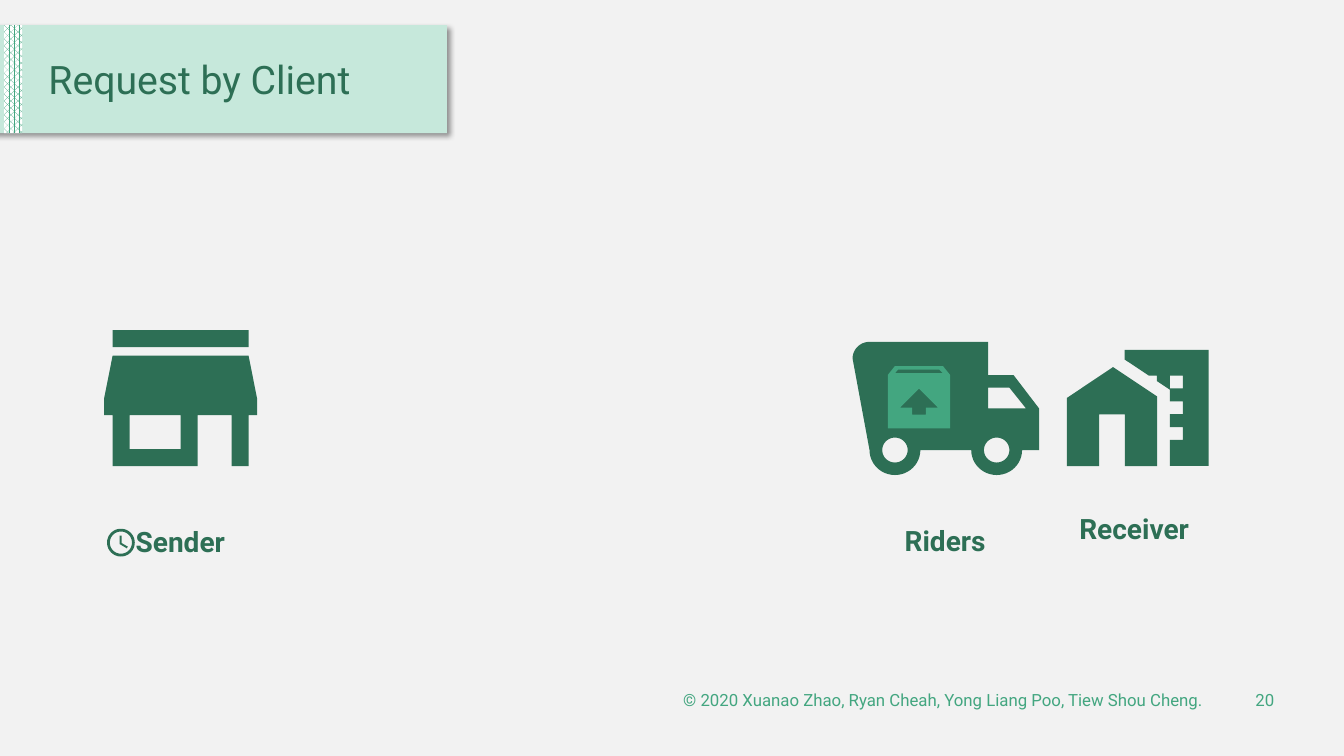
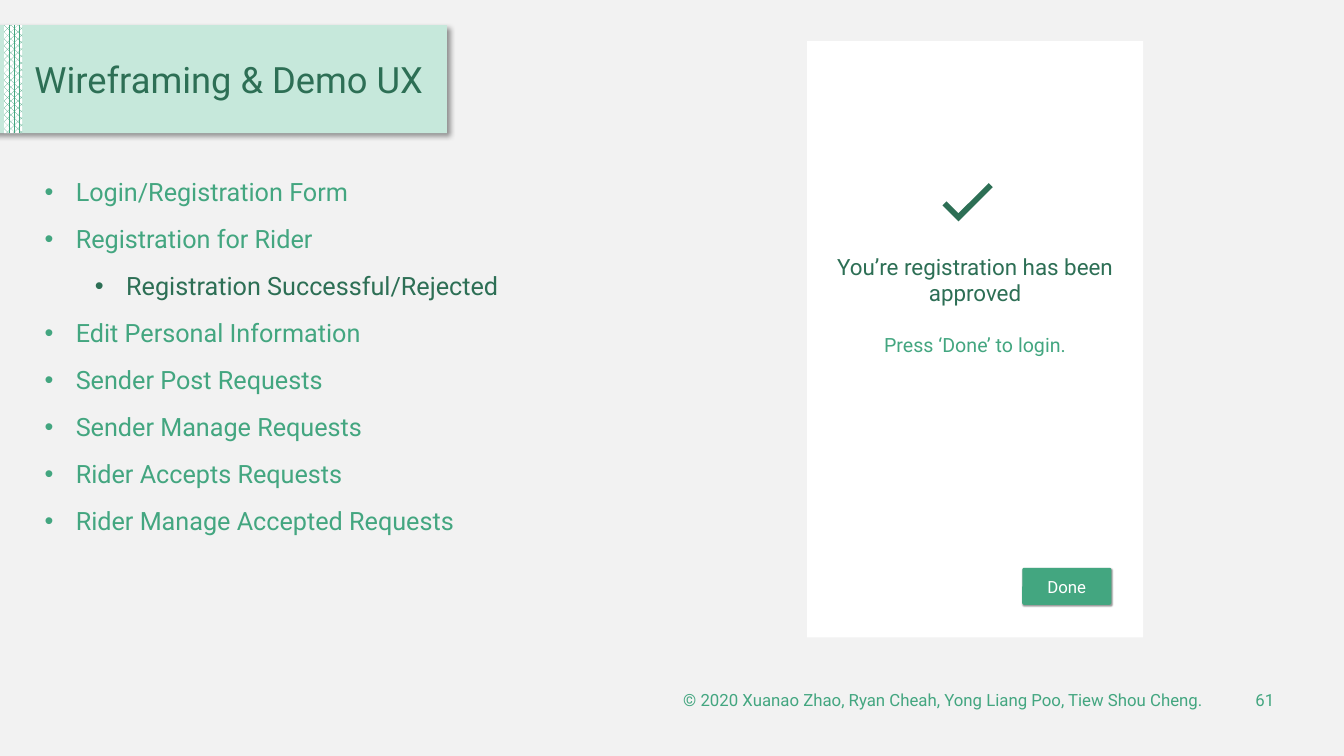
"""Build two slides of a delivery-service deck with a shared green style."""
from math import cos, radians, sin

from lxml import etree
from pptx import Presentation
from pptx.dml.color import RGBColor
from pptx.enum.dml import MSO_PATTERN
from pptx.enum.shapes import MSO_SHAPE
from pptx.enum.text import MSO_ANCHOR, MSO_AUTO_SIZE, PP_ALIGN
from pptx.oxml.ns import qn
from pptx.util import Inches, Pt

RECT, ROUNDED = MSO_SHAPE.RECTANGLE, MSO_SHAPE.ROUNDED_RECTANGLE
LEFT, CENTER, RIGHT = PP_ALIGN.LEFT, PP_ALIGN.CENTER, PP_ALIGN.RIGHT
TOP, MIDDLE = MSO_ANCHOR.TOP, MSO_ANCHOR.MIDDLE
NO_FIT = MSO_AUTO_SIZE.NONE
WEAVE = MSO_PATTERN.PERCENT_70

COLUMNS, ROWS = 160, 90
FONT = "Roboto"
DARK, GREEN, MINT = "2D6F55", "43A680", "C6E8DB"
WHITE, PAPER, BLACK = "FFFFFF", "F2F2F2", "000000"
COPYRIGHT = "© 2020 Xuanao Zhao, Ryan Cheah, Yong Liang Poo, Tiew Shou Cheng."
TITLE_ONLY, TITLE_AND_BODY = 5, 1


def color(value):
    return RGBColor.from_string(value)


def arc(x, y, radius, start, end, steps=24):
    angles = [radians(start + (end - start) * i / steps) for i in range(steps + 1)]
    return [(x + radius * cos(a), y + radius * sin(a)) for a in angles]


def ring(x, y, radius):
    return arc(x, y, radius, 0, 360, 48)


STORE = [
    [(4, 4), (20, 4), (20, 6), (4, 6)],
    [(21, 14), (21, 12), (20, 7), (4, 7), (3, 12), (3, 14), (4, 14), (4, 20),
     (14, 20), (14, 14), (18, 14), (18, 20), (20, 20), (20, 14)],
    [(12, 18), (6, 18), (6, 14), (12, 14)],
]
TRUCK = [
    [(20, 8), (17, 8), (17, 4), *arc(3, 6, 2, 270, 180), *arc(6, 17, 3, 180, 0),
     *arc(18, 17, 3, 180, 0), (23, 17), (23, 12)],
    ring(6, 17, 1.5),
    ring(18, 17, 1.5),
    [(19.5, 9.5), (21.46, 12), (17, 12), (17, 9.5)],
]
HOUSE = [
    [(8.17, 5.7), (1, 10.48), (1, 21), (6, 21), (6, 13), (10, 13), (10, 21),
     (15, 21), (15, 10.25)],
]
TOWER = [
    [(10, 3), (10, 4.51), (12, 5.84), (13.73, 7), (15, 7), (15, 7.85), (17, 9.19),
     (17, 11), (19, 11), (19, 13), (17, 13), (17, 15), (19, 15), (19, 17), (17, 17),
     (17, 21), (23, 21), (23, 3)],
    [(19, 9), (17, 9), (17, 7), (19, 7)],
]
PARCEL = [
    [(19, 3), (5, 3), (3, 5.5), (3, 21), (21, 21), (21, 5.5)],
    [(14, 15), (14, 17), (10, 17), (10, 15), (6.5, 15), (12, 9.5), (17.5, 15)],
    [(5.12, 5), (5.93, 4), (17.93, 4), (18.87, 5)],
]
CLOCK = [
    ring(12, 12, 10),
    ring(12, 12, 8),
    [(12.5, 7), (11, 7), (11, 13), (16.25, 16.15), (17, 14.92), (12.5, 12.25)],
]
CHECK = [
    [(9, 16.17), (4.83, 12), (3.41, 13.41), (9, 19), (21, 7), (19.59, 5.59)],
]


class Deck:
    def __init__(self):
        self.show = Presentation()
        self.show.slide_width, self.show.slide_height = Inches(13.33), Inches(7.5)
        backdrop = self.show.slide_master.background.fill
        backdrop.solid()
        backdrop.fore_color.rgb = color(PAPER)
        self.slide = None

    def grid(self, left, top, width, height):
        column, row = self.show.slide_width / COLUMNS, self.show.slide_height / ROWS
        return [round(n) for n in
                (left * column, top * row, width * column, height * row)]

    def place(self, item, cells):
        item.left, item.top, item.width, item.height = self.grid(*cells)

    def paint(self, shape, fill):
        shape.shadow.inherit = False
        shape.line.fill.background()
        shape.fill.solid()
        shape.fill.fore_color.rgb = color(fill)

    def block(self, cells, fill, kind=RECT):
        shape = self.slide.shapes.add_shape(kind, *self.grid(*cells))
        self.paint(shape, fill)
        return shape

    def cast_shadow(self, shape, blur, distance):
        effects = shape.element.spPr.find(qn("a:effectLst"))
        shadow = etree.SubElement(
            effects, qn("a:outerShdw"), blurRad=str(Pt(blur)),
            dist=str(Pt(distance)), dir=str(45 * 60000), algn="tl", rotWithShape="0")
        tint = etree.SubElement(shadow, qn("a:srgbClr"), val=BLACK)
        etree.SubElement(tint, qn("a:alpha"), val="40000")

    def style(self, paragraph, size, ink, align=LEFT, bold=False):
        paragraph.alignment = align
        font = paragraph.font
        font.name, font.size, font.bold = FONT, Pt(size), bold
        font.color.rgb = color(ink)

    def fill_text(self, frame, text, size, ink, align=LEFT, anchor=TOP, bold=False):
        frame.auto_size, frame.word_wrap = NO_FIT, True
        frame.vertical_anchor = anchor
        frame.text = text
        for paragraph in frame.paragraphs:
            self.style(paragraph, size, ink, align, bold)

    def label(self, cells, text, size, ink, align=CENTER, anchor=TOP, bold=False):
        box = self.slide.shapes.add_textbox(*self.grid(*cells))
        self.fill_text(box.text_frame, text, size, ink, align, anchor, bold)

    def page(self, layout, title, number, cells, size):
        self.slide = self.show.slides.add_slide(self.show.slide_layouts[layout])
        band = self.block((-2.5, 3, 55.7, 12.85), MINT)
        self.cast_shadow(band, 4, 3)
        strip = self.block((0.5, 3, 2.15, 12.85), WHITE)
        strip.fill.patterned()
        strip.fill.pattern = WEAVE
        strip.fill.fore_color.rgb = color(GREEN)
        strip.fill.back_color.rgb = color(WHITE)
        for backmost in (strip, band):
            self.slide.shapes.element.insert(2, backmost.element)
        heading = self.slide.shapes.title
        self.place(heading, cells)
        self.fill_text(heading.text_frame, title, size, DARK, anchor=MIDDLE)
        heading.text_frame.paragraphs[0].line_spacing = 0.9
        self.label((65.3, 80.9, 79.1, 4.8), COPYRIGHT, 12, GREEN, RIGHT, MIDDLE)
        self.label((145.8, 80.9, 7.1, 4.8), str(number), 12, GREEN, RIGHT, MIDDLE)

    def icon(self, cells, contours, fill=DARK):
        left, top, width, height = self.grid(*cells)
        xs, ys = zip(*(point for contour in contours for point in contour))
        across = width / (max(xs) - min(xs))
        down = height / (max(ys) - min(ys))
        outlines = [[(round(left + (x - min(xs)) * across),
                      round(top + (y - min(ys)) * down)) for x, y in contour]
                    for contour in contours]
        builder = self.slide.shapes.build_freeform(*outlines[0][0])
        for index, (start, *rest) in enumerate(outlines):
            if index:
                builder.move_to(*start)
            builder.add_line_segments(rest, close=True)
        self.paint(builder.convert_to_shape(), fill)

    def bullets(self, cells, items):
        body = self.slide.placeholders[1]
        self.place(body, cells)
        frame = body.text_frame
        frame.auto_size, frame.word_wrap = NO_FIT, True
        frame.text = "\n".join(text for text, _ in items)
        for index, (paragraph, (_, level)) in enumerate(zip(frame.paragraphs, items)):
            paragraph.level = level
            paragraph.space_before = Pt(12 if index else 0)
            props = paragraph._p.get_or_add_pPr()
            props.set("marL", str(Inches(0.31 + 0.5 * level)))
            props.set("indent", str(Inches(-0.31)))
            etree.SubElement(props, qn("a:buFont"), typeface="Arial")
            etree.SubElement(props, qn("a:buChar"), char="•")
            self.style(paragraph, 18, DARK if level else GREEN)

    def button(self, cells, text):
        shape = self.block(cells, GREEN, ROUNDED)
        shape.adjustments[0] = 0.05
        self.cast_shadow(shape, 1, 1)
        self.fill_text(shape.text_frame, text, 12, WHITE, CENTER, MIDDLE)


def request_slide(deck):
    deck.page(TITLE_ONLY, "Request by Client", 20, (4.56, 4.9, 47.5, 9.7), 28)
    deck.icon((101.5, 40.7, 22.2, 15.85), TRUCK)
    deck.icon((105.7, 43.6, 7.4, 7.4), PARCEL, GREEN)
    deck.icon((12.4, 39.3, 18.2, 16.2), STORE)
    deck.icon((127, 43.7, 10.75, 11.8), HOUSE)
    deck.icon((133.9, 41.65, 10, 13.8), TOWER)
    deck.icon((12.75, 62.95, 3.3, 3.3), CLOCK)
    for name, left, top in (("Sender", 9.35, 61.9), ("Riders", 100.4, 61.7),
                            ("Receiver", 122.9, 60.25)):
        deck.label((left, top, 24.25, 5.3), name, 20, DARK, bold=True)


def wireframe_slide(deck):
    deck.page(TITLE_AND_BODY, "Wireframing & Demo UX", 61, (2.9, 4.9, 50, 9.7), 25.9)
    deck.bullets((4.1, 20.4, 59.9, 44.4), [
        ("Login/Registration Form", 0),
        ("Registration for Rider", 0),
        ("Registration Successful/Rejected", 1),
        ("Edit Personal Information", 0),
        ("Sender Post Requests", 0),
        ("Sender Manage Requests", 0),
        ("Rider Accepts Requests", 0),
        ("Rider Manage Accepted Requests", 0),
    ])
    deck.block((96.1, 4.9, 40, 71), WHITE)
    deck.icon((112.2, 21.8, 6, 4.55), CHECK)
    deck.label((98.2, 29.5, 35.75, 7.7),
               "You’re registration has been\napproved", 16, DARK)
    deck.label((98.2, 39, 35.75, 4.1), "Press ‘Done’ to login.", 14, GREEN)
    deck.button((121.7, 67.6, 10.6, 4.4), "Done")


def main():
    deck = Deck()
    request_slide(deck)
    wireframe_slide(deck)
    deck.show.save("out.pptx")


if __name__ == "__main__":
    main()
